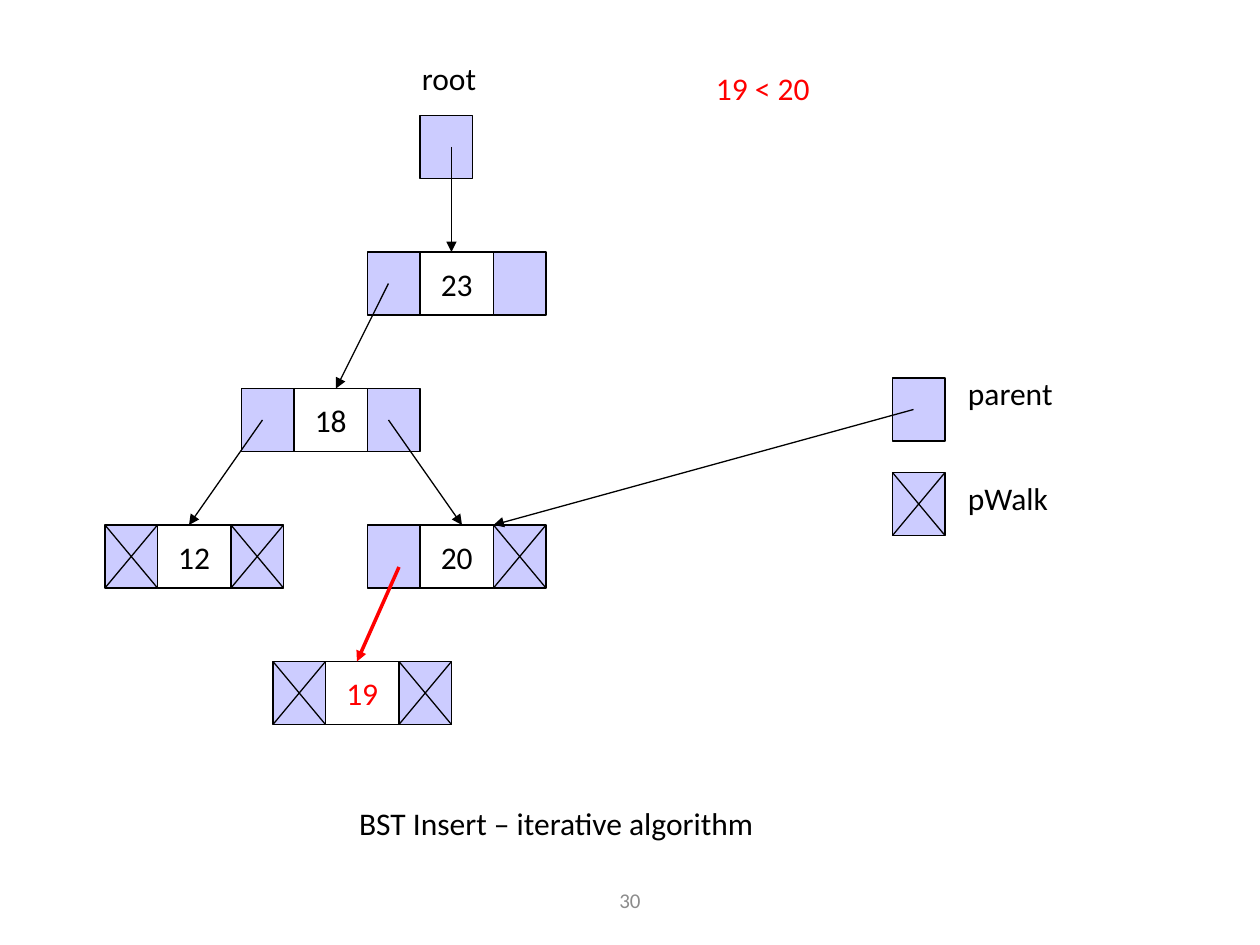
from lxml.etree import SubElement
from pptx import Presentation
from pptx.dml.color import RGBColor
from pptx.enum.shapes import MSO_CONNECTOR, MSO_SHAPE
from pptx.enum.text import MSO_ANCHOR, MSO_AUTO_SIZE, PP_ALIGN
from pptx.oxml.ns import qn
from pptx.util import Pt

BLACK, WHITE, RED, LILAC, GRAY = "000000", "FFFFFF", "FF0000", "CCCCFF", "8C8C8C"
LINK_WIDTH, VALUE_WIDTH, CELL_HEIGHT = 30, 42, 36
TREE_TOP, LEVEL_STEP = 144, 78


def color(hex_code):
    return RGBColor.from_string(hex_code)


class TreeSlide:
    font_name = "Calibri"

    def __init__(self, slide):
        self.slide = slide
        self.shapes = slide.shapes

    def set_words(self, frame, words, ink=BLACK, size=18, align=PP_ALIGN.LEFT,
                  anchor=MSO_ANCHOR.TOP, wrap=True):
        frame.text = words
        frame.word_wrap = wrap
        frame.auto_size = MSO_AUTO_SIZE.NONE
        frame.vertical_anchor = anchor
        paragraph = frame.paragraphs[0]
        paragraph.alignment = align
        for run in paragraph.runs:
            run.font.name = self.font_name
            run.font.size = Pt(size)
            run.font.color.rgb = color(ink)

    def title(self, words, left, top, width, height):
        heading = self.shapes.title
        heading.left, heading.top = Pt(left), Pt(top)
        heading.width, heading.height = Pt(width), Pt(height)
        self.set_words(heading.text_frame, words)

    def label(self, words, left, top, width, height=36, **style):
        box = self.shapes.add_textbox(Pt(left), Pt(top), Pt(width), Pt(height))
        self.set_words(box.text_frame, words, **style)

    def line(self, start, end, ink=BLACK, width=0.75, arrow=False, within=None):
        connector = (within or self.shapes).add_connector(
            MSO_CONNECTOR.STRAIGHT, *(Pt(value) for value in (*start, *end)))
        connector.line.color.rgb = color(ink)
        connector.line.width = Pt(width)
        if arrow:
            outline = connector._element.spPr.find(qn("a:ln"))
            SubElement(outline, qn("a:tailEnd"), type="triangle")
        SubElement(connector._element.spPr, qn("a:effectLst"))

    def cell(self, left, top, width=LINK_WIDTH, fill=LILAC, within=None):
        box = (within or self.shapes).add_shape(
            MSO_SHAPE.RECTANGLE, Pt(left), Pt(top), Pt(width), Pt(CELL_HEIGHT))
        box.shadow.inherit = False
        box.fill.solid()
        box.fill.fore_color.rgb = color(fill)
        box.line.color.rgb = color(BLACK)
        box.line.width = Pt(0.75)
        return box

    def link(self, left, top, null=False, within=None):
        self.cell(left, top, within=within)
        if null:
            right, bottom = left + LINK_WIDTH, top + CELL_HEIGHT
            self.line((right, top), (left, bottom), within=within)
            self.line((left, top), (right, bottom), within=within)

    def node(self, value, left, level, left_null, right_null, ink=BLACK):
        top = TREE_TOP + level * LEVEL_STEP
        members = self.shapes.add_group_shape().shapes
        self.link(left, top, left_null, members)
        self.link(left + LINK_WIDTH + VALUE_WIDTH, top, right_null, members)
        box = self.cell(left + LINK_WIDTH, top, VALUE_WIDTH, WHITE, members)
        self.set_words(box.text_frame, value, ink, align=PP_ALIGN.CENTER,
                       anchor=MSO_ANCHOR.MIDDLE, wrap=False)


def main():
    presentation = Presentation()
    presentation.slide_width, presentation.slide_height = Pt(720), Pt(540)
    tree = TreeSlide(presentation.slides.add_slide(presentation.slide_layouts[5]))

    tree.title("BST Insert – iterative algorithm", 198, 456, 342, 36)
    tree.label("30", 238, 500, 244, 29, ink=GRAY, size=12,
               align=PP_ALIGN.CENTER, anchor=MSO_ANCHOR.MIDDLE)
    tree.label("19 < 20", 402, 36, 222, ink=RED)

    for name, label_left, label_top, width, left, top, null in (
        ("root", 234, 30, 60, 240, 66, False),
        ("parent", 546, 210, 84, 510, 216, False),
        ("pWalk", 546, 270, 84, 510, 270, True),
    ):
        tree.link(left, top, null)
        tree.label(name, label_left, label_top, width)

    for value, left, level, left_null, right_null, ink in (
        ("23", 210, 0, False, False, BLACK),
        ("18", 138, 1, False, False, BLACK),
        ("12", 60, 2, True, True, BLACK),
        ("20", 210, 2, False, True, BLACK),
        ("19", 156, 3, True, True, RED),
    ):
        tree.node(value, left, level, left_null, right_null, ink)

    for start, end_x, level in (
        ((258, 84), 258, 0),
        ((222, 162), 192, 1),
        ((150, 240), 108, 2),
        ((222, 240), 264, 2),
        ((522, 234), 282, 2),
    ):
        tree.line(start, (end_x, TREE_TOP + level * LEVEL_STEP), arrow=True)
    tree.line((228, 324), (204, TREE_TOP + 3 * LEVEL_STEP), RED, 2, arrow=True)

    presentation.save("out.pptx")


if __name__ == "__main__":
    main()
